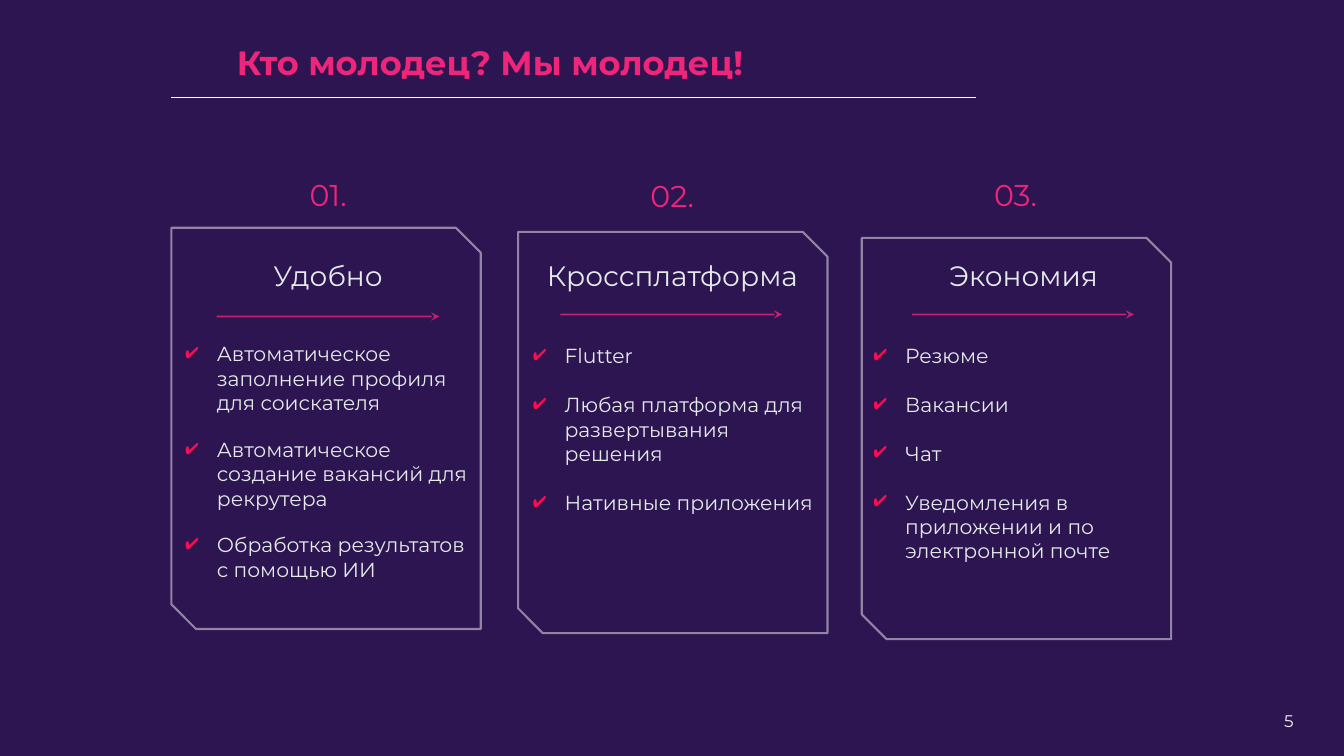
from lxml import etree
from pptx import Presentation
from pptx.dml.color import RGBColor
from pptx.enum.shapes import MSO_CONNECTOR, MSO_SHAPE
from pptx.enum.text import MSO_ANCHOR, MSO_AUTO_SIZE, PP_ALIGN
from pptx.oxml.ns import qn
from pptx.util import Pt

CENTER, LEFT = PP_ALIGN.CENTER, PP_ALIGN.LEFT
TOP, MIDDLE, BOTTOM = MSO_ANCHOR.TOP, MSO_ANCHOR.MIDDLE, MSO_ANCHOR.BOTTOM
GROW, FIXED = MSO_AUTO_SIZE.SHAPE_TO_FIT_TEXT, MSO_AUTO_SIZE.NONE
STRAIGHT, SNIP = MSO_CONNECTOR.STRAIGHT, MSO_SHAPE.SNIP_2_DIAG_RECTANGLE

COLORS = {
    "bg": "2D1551",
    "accent": "EF257A",
    "check": "FD0C50",
    "text": "E4EAE9",
    "page": "F2F2F2",
    "white": "FFFFFF",
}
FONT = "Montserrat"
CARD_SIZE = (221, 286.6)

COLUMNS = [
    {
        "card": (122.4, 162.7),
        "number": ("01.", (204.5, 122.4, 59.8, 33.1)),
        "heading": ("Удобно", (144, 181.4, 180.7, 31.7)),
        "arrow": (154.8, 313.9, 226.1),
        "body": (125.3, 240.5, 222.5, 161.3),
        "gaps": [0, 16, 16],
        "items": [
            "Автоматическое заполнение профиля для соискателя",
            "Автоматическое создание вакансий для рекрутера",
            "Обработка результатов с помощью ИИ",
        ],
    },
    {
        "card": (370.1, 165.6),
        "number": ("02.", (442.8, 123.1, 74.9, 33.1)),
        "heading": ("Кроссплатформа", (380.9, 181.4, 198.7, 31.7)),
        "arrow": (400.3, 558.7, 224.6),
        "body": (373.7, 241.9, 214.6, 146.2),
        "gaps": [0, 17.6, 17.6],
        "items": [
            "Flutter",
            "Любая платформа для развертывания решения",
            "Нативные приложения",
        ],
    },
    {
        "card": (615.6, 169.9),
        "number": ("03.", (690.5, 122.4, 69.8, 33.1)),
        "heading": ("Экономия", (651.6, 181.4, 159.1, 31.7)),
        "arrow": (651.6, 810, 224.6),
        "body": (617, 241.9, 220.3, 196.6),
        "gaps": [0, 17.6, 17, 17.6],
        "items": [
            "Резюме",
            "Вакансии",
            "Чат",
            "Уведомления в приложении и по электронной почте",
        ],
    },
]


def rgb(name):
    return RGBColor.from_string(COLORS[name])


class Deck:
    def __init__(self, width, height):
        self.prs = Presentation()
        self.prs.slide_width, self.prs.slide_height = Pt(width), Pt(height)
        self.slide = self.prs.slides.add_slide(self.prs.slide_layouts[5])
        fill = self.slide.background.fill
        fill.solid()
        fill.fore_color.rgb = rgb("bg")

    def frame(self, sp, anchor, auto_size):
        tf = sp.text_frame
        values = {
            "word_wrap": True, "auto_size": auto_size, "vertical_anchor": anchor,
            "margin_left": Pt(7.2), "margin_right": Pt(7.2),
            "margin_top": Pt(3.6), "margin_bottom": Pt(3.6),
        }
        for name, value in values.items():
            setattr(tf, name, value)
        return tf

    def styled_run(self, p, text, size, color, align=LEFT, bold=False):
        p.alignment = align
        r = p.add_run()
        r.text = text
        for name, value in {"name": FONT, "size": Pt(size), "bold": bold}.items():
            setattr(r.font, name, value)
        r.font.color.rgb = rgb(color)

    def title(self, text, box):
        sp = self.slide.shapes.title
        for name, value in zip(("left", "top", "width", "height"), box):
            setattr(sp, name, Pt(value))
        p = self.frame(sp, BOTTOM, FIXED).paragraphs[0]
        p.line_spacing = 0.9
        self.styled_run(p, text, 24, "accent", bold=True)

    def text(self, text, box, size, color, anchor=TOP, auto_size=GROW):
        sp = self.slide.shapes.add_textbox(*map(Pt, box))
        p = self.frame(sp, anchor, auto_size).paragraphs[0]
        self.styled_run(p, text, size, color, CENTER)

    def checklist(self, items, gaps, box):
        sp = self.slide.shapes.add_textbox(*map(Pt, box))
        tf = self.frame(sp, TOP, GROW)
        for i, (item, gap) in enumerate(zip(items, gaps)):
            p = tf.add_paragraph() if i else tf.paragraphs[0]
            pPr = p._p.get_or_add_pPr()
            pPr.set("marL", str(Pt(22.5)))
            pPr.set("indent", str(-Pt(22.5)))
            clr = etree.SubElement(pPr, qn("a:buClr"))
            etree.SubElement(clr, qn("a:srgbClr"), val=COLORS["check"])
            etree.SubElement(pPr, qn("a:buChar"), char="✔")
            p.space_before = Pt(gap)
            self.styled_run(p, item, 14.5, "text")

    def stroke(self, sp, color, width, opacity=100):
        sp.line.color.rgb = rgb(color)
        sp.line.width = Pt(width)
        ln = sp._element.spPr.find(qn("a:ln"))
        if opacity < 100:
            clr = ln.find(".//" + qn("a:srgbClr"))
            etree.SubElement(clr, qn("a:alpha"), val=str(opacity * 1000))
        return ln

    def card(self, left, top):
        sp = self.slide.shapes.add_shape(SNIP, *map(Pt, (left, top, *CARD_SIZE)))
        sp.adjustments[0], sp.adjustments[1] = 0, 0.08
        sp.shadow.inherit = False
        sp.fill.background()
        self.stroke(sp, "white", 1.5, 47)

    def line(self, x1, x2, y, color, width, opacity=100, arrow=False):
        cn = self.slide.shapes.add_connector(STRAIGHT, *map(Pt, (x1, y, x2, y)))
        ln = self.stroke(cn, color, width, opacity)
        if arrow:
            etree.SubElement(ln, qn("a:tailEnd"), type="stealth")
        etree.SubElement(cn._element.spPr, qn("a:effectLst"))


def main():
    deck = Deck(960, 540)
    deck.title("Кто молодец? Мы молодец!", (162, 25.9, 476.6, 36.7))
    deck.line(122.4, 697, 69.8, "white", 0.75)
    for col in COLUMNS:
        deck.card(*col["card"])
        deck.text(*col["number"], 21.5, "accent")
        deck.text(*col["heading"], 20, "text")
        deck.line(*col["arrow"], "accent", 1.25, 78, arrow=True)
        deck.checklist(col["items"], col["gaps"], col["body"])
    deck.text("5", (898.6, 500.4, 43.9, 28.8), 12, "page", MIDDLE, FIXED)
    deck.prs.save("out.pptx")


if __name__ == "__main__":
    main()
